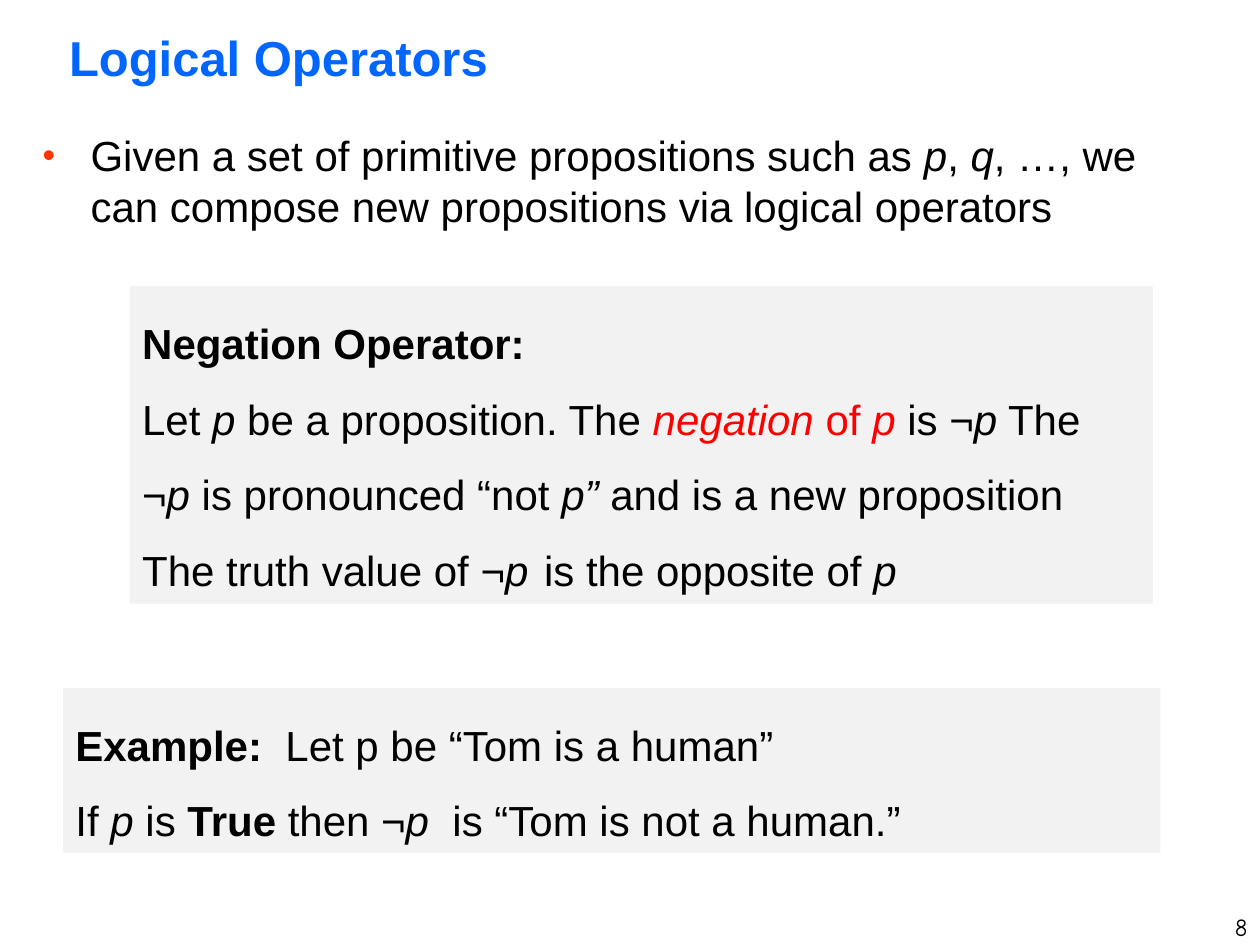
"""Build the Logical Operators slide."""
from dataclasses import dataclass

from lxml.etree import SubElement
from pptx import Presentation
from pptx.dml.color import RGBColor
from pptx.enum.shapes import MSO_SHAPE as Preset
from pptx.enum.text import MSO_ANCHOR as Anchor, MSO_AUTO_SIZE as AutoSize, PP_ALIGN as Align
from pptx.oxml.ns import qn
from pptx.util import Inches, Pt

WIDTH, HEIGHT = 10, 7.5
BLACK, BLUE, RED, GREY, BULLET = "000000", "0066FF", "FF0000", "F2F2F2", "FF3300"


@dataclass(frozen=True)
class Span:
    text: str
    bold: bool = False
    italic: bool = False
    color: str = BLACK
    size: float = 24
    name: str = "Arial"


@dataclass(frozen=True)
class Block:
    left: float
    top: float
    width: float
    height: float
    lines: list[list[Span]]
    spacing: float = 1.0
    fill: str | None = None
    anchor: Anchor = Anchor.TOP
    align: Align = Align.LEFT
    bullet: str | None = None


def rgb(value: str) -> RGBColor:
    return RGBColor.from_string(value)


def italic(text: str, color: str = BLACK) -> Span:
    return Span(text, italic=True, color=color)


def add_bullet(para, color: str) -> None:
    props = para._p.get_or_add_pPr()
    props.set("marL", str(Inches(0.38)))
    props.set("indent", str(-Inches(0.38)))
    SubElement(SubElement(props, qn("a:buClr")), qn("a:srgbClr"), val=color)
    SubElement(props, qn("a:buSzPct"), val="85000")
    SubElement(props, qn("a:buFont"), typeface="Arial")
    SubElement(props, qn("a:buChar"), char="•")


def add_span(para, span: Span) -> None:
    run = para.add_run()
    run.text = span.text
    formats = {"bold": span.bold, "italic": span.italic, "size": Pt(span.size), "name": span.name}
    for key, value in formats.items():
        setattr(run.font, key, value)
    run.font.color.rgb = rgb(span.color)


def add_block(page, block: Block) -> None:
    place = [Inches(n) for n in (block.left, block.top, block.width, block.height)]
    if block.fill:
        box = page.shapes.add_shape(Preset.RECTANGLE, *place)
        box.shadow.inherit = False
        box.fill.solid()
        box.fill.fore_color.rgb = rgb(block.fill)
        box.line.fill.background()
    else:
        box = page.shapes.add_textbox(*place)
    frame = box.text_frame
    formats = {
        "word_wrap": True,
        "vertical_anchor": block.anchor,
        "auto_size": AutoSize.SHAPE_TO_FIT_TEXT if block.fill else AutoSize.NONE,
    }
    for key, value in formats.items():
        setattr(frame, key, value)
    for index, line in enumerate(block.lines):
        para = frame.add_paragraph() if index else frame.paragraphs[0]
        para.alignment, para.line_spacing = block.align, block.spacing
        if block.bullet:
            add_bullet(para, block.bullet)
        for span in line:
            add_span(para, span)


TITLE = [[Span("Logical Operators", bold=True, color=BLUE, size=28)]]
INTRO = [[
    Span("Given a set of primitive propositions such as "), italic("p"), Span(", "), italic("q"),
    Span(", …, we can compose new propositions via logical operators"),
]]
NEGATION = [
    [Span("Negation Operator:", bold=True)],
    [Span("Let "), italic("p "), Span("be a proposition. The "), italic("negation", RED),
     Span(" of ", color=RED), italic("p ", RED), Span("is "), italic("¬p"), Span(" The ")],
    [italic("¬p "), Span("is pronounced “not "), italic("p” "), Span("and is a new proposition")],
    [Span("The truth value of "), italic("¬p"), Span("  ", size=16),
     Span("is the opposite of "), italic("p")],
]
EXAMPLE = [
    [Span("Example:  ", bold=True), Span("Let p be “Tom is a human”")],
    [Span("If "), italic("p"), Span(" is "), Span("True ", bold=True), Span("then "),
     italic("¬p  "), Span("is “Tom is not a human.”")],
]
NUMBER = [[Span("8", size=14, name="Comic Neue")]]

BLOCKS = [
    Block(7.92, 7.19, 2.08, 0.25, NUMBER, align=Align.RIGHT),
    Block(0.45, 0.11, 9.32, 0.68, TITLE, anchor=Anchor.MIDDLE),
    Block(0.24, 0.98, 9.25, 1.03, INTRO, bullet=BULLET),
    Block(1.03, 2.27, 8.12, 2.52, NEGATION, spacing=1.5, fill=GREY),
    Block(0.5, 5.46, 8.71, 1.31, EXAMPLE, spacing=1.5, fill=GREY),
]


def main() -> None:
    deck = Presentation()
    deck.slide_width, deck.slide_height = Inches(WIDTH), Inches(HEIGHT)
    page = deck.slides.add_slide(deck.slide_layouts[6])
    for block in BLOCKS:
        add_block(page, block)
    deck.save("out.pptx")


main()
